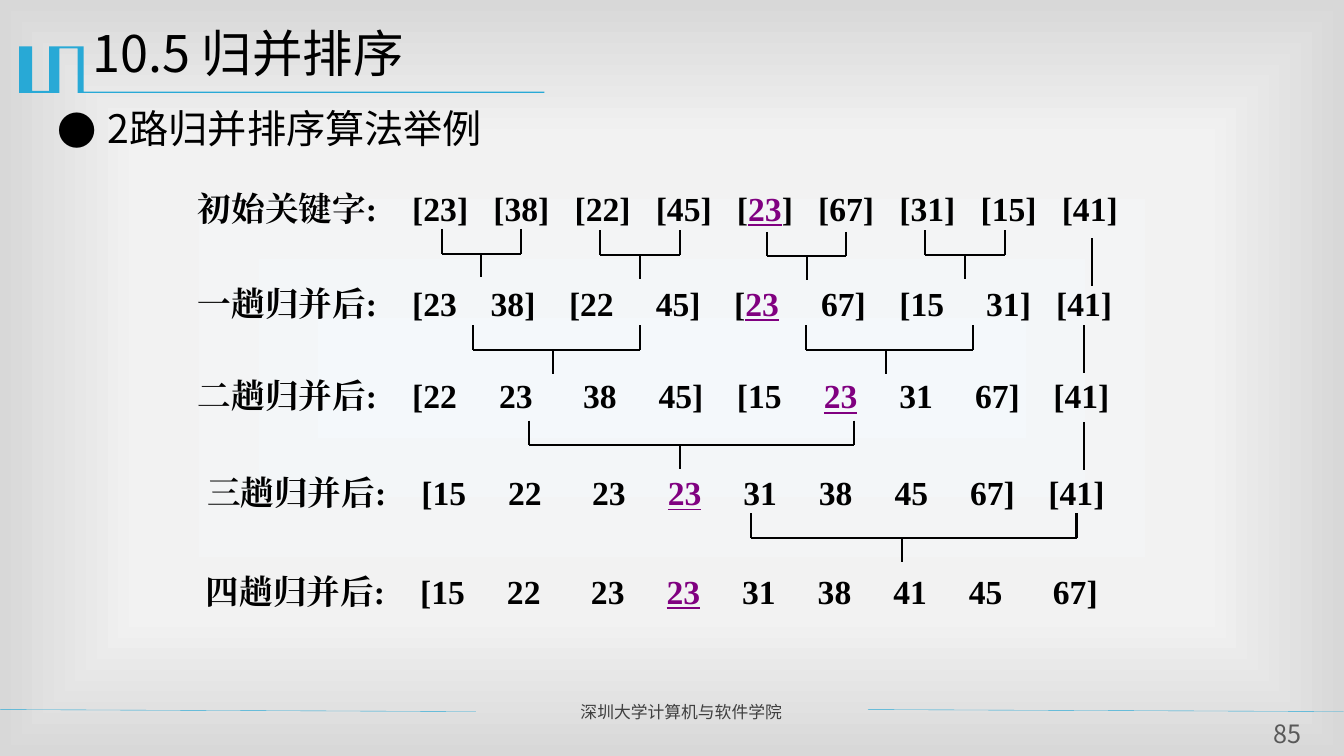
from lxml.etree import SubElement
from pptx import Presentation
from pptx.dml.color import RGBColor
from pptx.enum.shapes import MSO_CONNECTOR as Connector
from pptx.enum.text import MSO_ANCHOR as Anchor, PP_ALIGN as Align
from pptx.oxml import parse_xml
from pptx.oxml.ns import nsdecls, qn
from pptx.util import Cm, Pt

BLACK = RGBColor(0x00, 0x00, 0x00)
PURPLE = RGBColor(0x80, 0x00, 0x80)
BLUE = RGBColor(0x28, 0xA9, 0xD6)
FOOTER_GREY = RGBColor(0x3F, 0x3F, 0x3F)
NUMBER_GREY = RGBColor(0x59, 0x59, 0x59)
SANS = "Noto Sans CJK SC"
SERIF = "Times New Roman"


def write(para, text, size=24, font=SERIF, color=BLACK, bold=False, underline=False):
    span = para.add_run()
    span.text = text
    span.font.size = Pt(size)
    span.font.name = font
    span.font.color.rgb = color
    span.font.bold = bold
    span.font.underline = underline
    SubElement(span.font._element, qn("a:ea"), typeface=font)


def add_para(left, top, width, height, anchor=Anchor.TOP):
    frame = page.shapes.add_textbox(Cm(left), Cm(top), Cm(width), Cm(height)).text_frame
    frame.margin_left = frame.margin_right = frame.margin_top = frame.margin_bottom = 0
    frame.word_wrap = True
    frame.vertical_anchor = anchor
    return frame.paragraphs[0]


deck = Presentation()
deck.slide_width, deck.slide_height = Cm(33.87), Cm(19.05)
page = deck.slides.add_slide(deck.slide_layouts[5])

# Background: rectangular gradient, light in the middle
page.background.fill.gradient()
old_fill = page.background._cSld.bg.bgPr.find(qn("a:gradFill"))
stops = "".join(
    f'<a:gs pos="{pos}"><a:srgbClr val="{value}"/></a:gs>'
    for pos, value in ((0, "F4F8FB"), (63000, "F2F2F2"), (100000, "D8D8D8"))
)
old_fill.getparent().replace(old_fill, parse_xml(
    f'<a:gradFill {nsdecls("a")} rotWithShape="1"><a:gsLst>{stops}</a:gsLst><a:path path="rect">'
    '<a:fillToRect l="50000" t="50000" r="50000" b="50000"/></a:path></a:gradFill>'
))

# Title ornament and underline
outline = [
    (2.08, 1.17), (2.11, 1.17), (2.11, 2.31), (13.72, 2.31), (13.72, 2.34), (1.96, 2.34),
    (1.96, 1.22), (1.5, 1.22), (1.5, 2.34), (0.48, 2.34), (0.48, 1.17), (0.81, 1.17),
    (0.81, 2.29), (1.24, 2.29), (1.24, 1.17),
]
points = [(Cm(x), Cm(y)) for x, y in outline]
builder = page.shapes.build_freeform(*points[0])
builder.add_line_segments(points[1:], close=True)
ornament = builder.convert_to_shape()
ornament.shadow.inherit = False
ornament.fill.solid()
ornament.fill.fore_color.rgb = BLUE
ornament.line.fill.background()

# Title
title = page.shapes.title
title.left, title.top, title.width, title.height = Cm(2.08), Cm(0.61), Cm(30.48), Cm(2.21)
title.text_frame.vertical_anchor = Anchor.TOP
para = title.text_frame.paragraphs[0]
para.alignment = Align.LEFT
para.line_spacing = 0.9
write(para, "10.5 归并排序", size=36, font=SANS)

# Subtitle with bullet
para = add_para(1.45, 2.77, 30.3, 1.6)
para.line_spacing = 0.9
props = para._p.get_or_add_pPr()
props.set("marL", str(Cm(1.27)))
props.set("indent", str(Cm(-1.27)))
SubElement(props, qn("a:buFont"), typeface=SANS)
SubElement(props, qn("a:buChar"), char="●")
write(para, "2路归并排序算法举例", size=28, font=SANS)

# Footer and page number
write(add_para(14.63, 17.68, 6.73, 0.6), "深圳大学计算机与软件学院", size=12, font=SANS, color=FOOTER_GREY)
para = add_para(31.7, 18.11, 1.5, 0.79)
para.alignment = Align.CENTER
write(para, "85", size=18, font=SANS, color=NUMBER_GREY)

# Sorting passes: label, left, top, keys, index of the marked 23, gaps in space widths
passes = [
    ("初始关键字:", 10.39, 4.7, "[23] [38] [22] [45] [23] [67] [31] [15] [41]", 4, "33333333"),
    ("一趟归并后:", 10.39, 7.09, "[23 38] [22 45] [23 67] [15 31] [41]", 4, "44545453"),
    ("二趟归并后:", 10.39, 9.42, "[22 23 38 45] [15 23 31 67] [41]", 5, "56545554"),
    ("三趟归并后:", 10.62, 11.86, "[15 22 23 23 31 38 45 67] [41]", 3, "56555554"),
    ("四趟归并后:", 10.59, 14.35, "[15 22 23 23 31 38 41 45 67]", 3, "56555556"),
]
EM = 24 * 2.54 / 72
BRACKET, DIGIT, SPACE = EM / 3, EM / 2, EM / 4
for label, left, top, text, marked, gaps in passes:
    write(add_para(left - 5.4, top, 5, 1.09, Anchor.MIDDLE), label, bold=True)
    para = add_para(left, top, 18.2, 1.09, Anchor.MIDDLE)
    keys = text.split()
    tabs = SubElement(para._p.get_or_add_pPr(), qn("a:tabLst"))
    stop = 0
    for key, gap in zip(keys, gaps):
        brackets = key.count("[") + key.count("]")
        stop += 2 * DIGIT + brackets * BRACKET + int(gap) * SPACE
        SubElement(tabs, qn("a:tab"), pos=str(Cm(stop)), algn="l")
    before, key, after = "\t".join(keys[:marked]) + "\t", keys[marked], "\t".join([""] + keys[marked + 1:])
    opening, number, closing = key.partition("23")
    write(para, before + opening, bold=True)
    write(para, number, color=PURPLE, bold=True, underline=True)
    write(para, closing + after, bold=True)

# Lines: footer rules, carried key 41, then merge brackets
lines = [(0, 17.88, 11.99, 17.93, BLUE, 0.25), (21.87, 17.88, 33.86, 17.93, BLUE, 0.25)]
for x, top in ((27.53, 6), (27.32, 8.2), (27.32, 10.64)):
    lines.append((x, top, x, top + 1.2, BLACK, 1.5))
merges = [  # left, top, width, stem offset
    (11.13, 5.77, 2, 1), (15.13, 5.8, 2, 1), (19.33, 5.84, 2, 1), (23.32, 5.8, 2, 1),
    (11.92, 8.2, 4.2, 2.01), (20.32, 8.2, 4.2, 2.01),
    (13.33, 10.6, 8.2, 3.81), (18.93, 12.93, 8.2, 3.81),
]
for left, top, width, stem in merges:
    right, bar, middle = left + width, top + 0.62, left + stem
    for ends in ((left, top, left, bar), (right, top, right, bar),
                 (left, bar, right, bar), (middle, bar, middle, bar + 0.6)):
        lines.append((*ends, BLACK, 1.5))
for x1, y1, x2, y2, color, weight in lines:
    line = page.shapes.add_connector(Connector.STRAIGHT, Cm(x1), Cm(y1), Cm(x2), Cm(y2))
    line.line.color.rgb = color
    line.line.width = Pt(weight)
    SubElement(line._element.spPr, qn("a:effectLst"))

deck.save("out.pptx")
